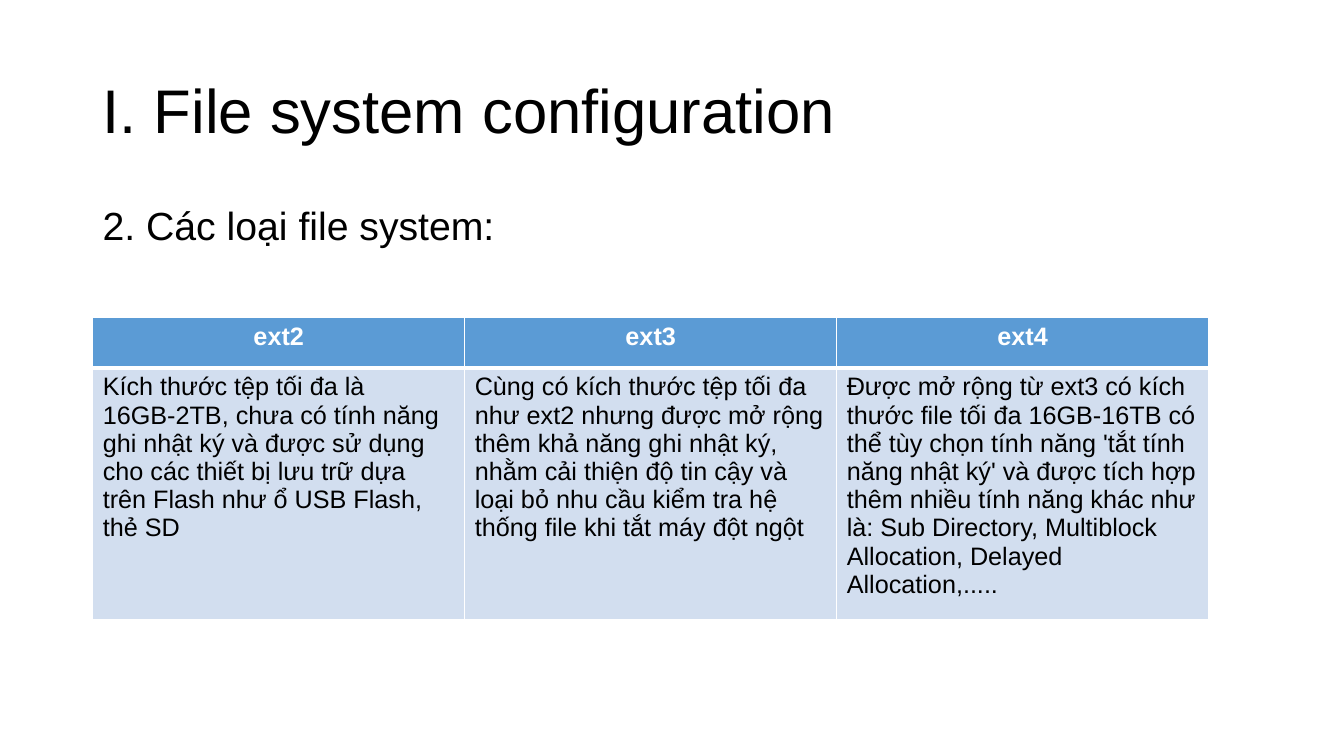
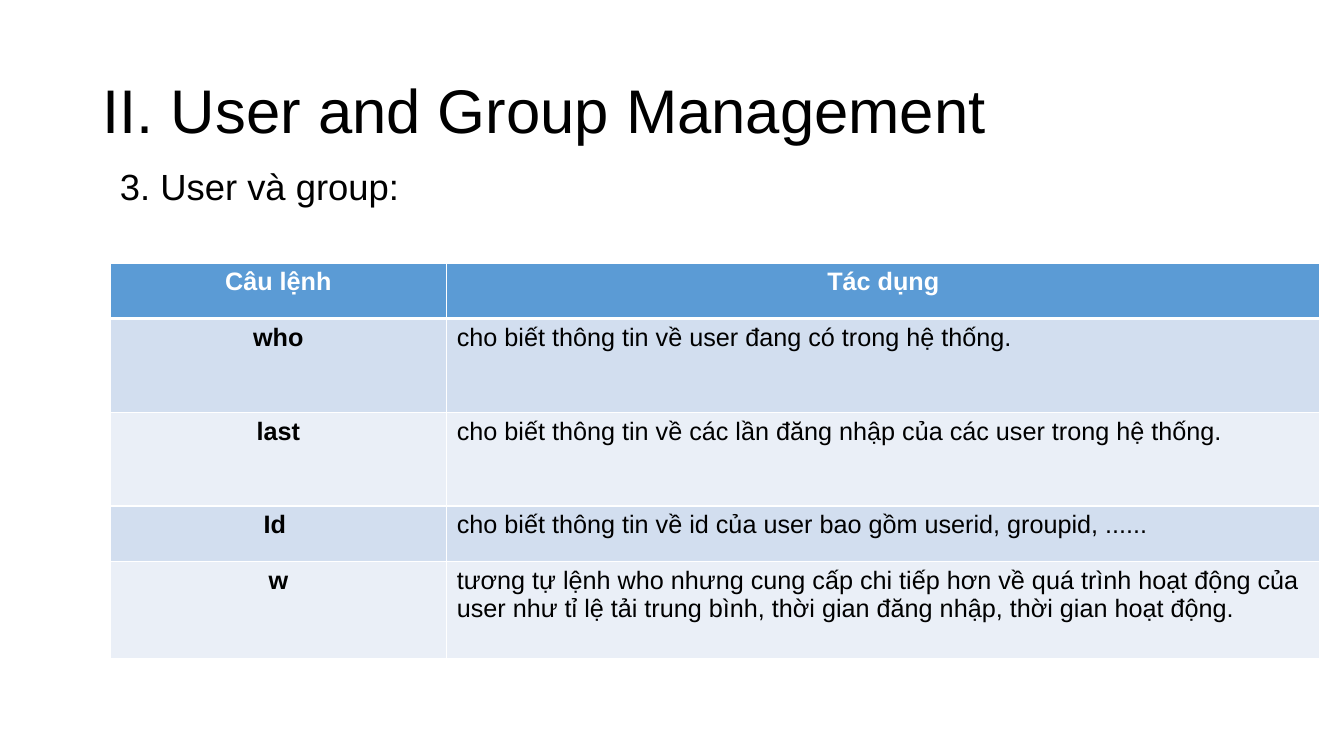
from lxml.etree import SubElement
from pptx import Presentation
from pptx.dml.color import RGBColor as RGB
from pptx.enum.text import MSO_ANCHOR as ANCHOR, PP_ALIGN as ALIGN
from pptx.oxml.ns import qn
from pptx.util import Inches, Pt

W, H = Inches(13.33), Inches(7.5)
COLORS = {
    "text": "000000",
    "white": "FFFFFF",
    "header": "5B9BD5",
    "odd": "D2DEEF",
    "even": "EAEFF7",
}
TITLE_BOX = (6.9, 5.33, 86.25, 19.33)
TITLE_FONT = {"size": Pt(44)}
TITLE_PAR = {"line_spacing": 0.9}
BODY_PAR = {"line_spacing": 0.9, "space_before": Pt(10)}
CELL_FONT = {"size": Pt(18)}

SLIDES = [
    {
        "title": "I. File system configuration",
        "body": "2. Các loại file system:",
        "body_box": (6.9, 26.67, 92.1, 52.4),
        "body_size": 28,
        "table_at": (6.9, 42),
        "cols": [27.68] * 3,
        "rows": [6.67, 31.07],
        "key_cols": 0,
        "cells": [
            ["ext2", "ext3", "ext4"],
            [
                "Kích thước tệp tối đa là 16GB-2TB, chưa có tính năng ghi nhật ký "
                "và được sử dụng cho các thiết bị lưu trữ dựa trên Flash như ổ USB "
                "Flash, thẻ SD",
                "Cùng có kích thước tệp tối đa như ext2 nhưng được mở rộng thêm khả "
                "năng ghi nhật ký, nhằm cải thiện độ tin cậy và loại bỏ nhu cầu kiểm "
                "tra hệ thống file khi tắt máy đột ngột",
                "Được mở rộng từ ext3 có kích thước file tối đa 16GB-16TB có thể tùy "
                "chọn tính năng 'tắt tính năng nhật ký' và được tích hợp thêm nhiều "
                "tính năng khác như là: Sub Directory, Multiblock Allocation, Delayed "
                "Allocation,.....",
            ],
        ],
    },
    {
        "title": "II. User and Group Management",
        "body": "3. User và group:",
        "body_box": (8.18, 21.73, 86.1, 78.27),
        "body_size": 26,
        "table_at": (8.18, 34.8),
        "cols": [25.06, 64.97],
        "rows": [7.33, 12.4, 12.4, 7.33, 12.8],
        "key_cols": 1,
        "cells": [
            ["Câu lệnh", "Tác dụng"],
            ["who", "cho biết thông tin về user đang có trong hệ thống."],
            ["last", "cho biết thông tin về các lần đăng nhập của các user trong hệ thống."],
            ["Id ", "cho biết thông tin về id của user bao gồm userid, groupid, ......"],
            [
                "w",
                "tương tự lệnh who nhưng cung cấp chi tiếp hơn về quá trình hoạt động "
                "của user như tỉ lệ tải trung bình, thời gian đăng nhập, thời gian hoạt động.",
            ],
        ],
    },
]


def across(percent):
    """Return a share of the slide's width."""
    return int(W * percent / 100)


def down(percent):
    """Return a share of the slide's height."""
    return int(H * percent / 100)


def apply(target, values):
    """Set each attribute named in a dict of format values."""
    for name, value in values.items():
        setattr(target, name, value)


def write(tf, text, font, par, color="text"):
    """Fill a text frame with one formatted paragraph."""
    p = tf.paragraphs[0]
    apply(p, par)
    r = p.add_run()
    r.text = text
    apply(r.font, {"name": "Arial", **font})
    r.font.color.rgb = RGB.from_string(COLORS[color])


def add_text(s, box, text, font, par, anchor=ANCHOR.TOP):
    """Add a wrapping text box placed by shares of the slide."""
    x, y, w, h = box
    sp = s.shapes.add_textbox(across(x), down(y), across(w), down(h))
    apply(sp.text_frame, {"word_wrap": True, "vertical_anchor": anchor})
    write(sp.text_frame, text, font, par)


def set_borders(cell, widths):
    """Draw white borders on a cell from a dict of side and width."""
    tc_pr = cell._tc.get_or_add_tcPr()
    for side, width in widths.items():
        ln = SubElement(tc_pr, qn(f"a:ln{side}"), w=str(Pt(width)))
        fill = SubElement(ln, qn("a:solidFill"))
        SubElement(fill, qn("a:srgbClr"), val=COLORS["white"])


def format_cell(cell, text, row, is_key):
    """Write one cell with the look of its row and column."""
    header = row == 0
    strong = header or is_key
    set_borders(cell, {"L": 1, "R": 1, "T": 3 if row == 1 else 1, "B": 3 if header else 1})
    cell.fill.solid()
    shade = "header" if header else "odd" if row % 2 else "even"
    cell.fill.fore_color.rgb = RGB.from_string(COLORS[shade])
    write(
        cell.text_frame,
        text,
        {**CELL_FONT, "bold": strong},
        {"alignment": ALIGN.CENTER if strong else ALIGN.LEFT},
        "white" if header else "text",
    )


def add_grid(s, at, cols, rows, cells, key_cols):
    """Add a banded table with a header row and optional key columns."""
    x, y = at
    table = s.shapes.add_table(
        len(rows), len(cols), across(x), down(y), across(sum(cols)), down(sum(rows))
    ).table
    for col, width in zip(table.columns, cols):
        col.width = across(width)
    for row, height in zip(table.rows, rows):
        row.height = down(height)
    for i, texts in enumerate(cells):
        for j, text in enumerate(texts):
            format_cell(table.cell(i, j), text, i, j < key_cols)


def add_page(prs, page):
    """Add one slide with its title, heading and table."""
    s = prs.slides.add_slide(prs.slide_layouts[6])
    add_text(s, TITLE_BOX, page["title"], TITLE_FONT, TITLE_PAR, ANCHOR.MIDDLE)
    add_text(s, page["body_box"], page["body"], {"size": Pt(page["body_size"])}, BODY_PAR)
    add_grid(s, page["table_at"], page["cols"], page["rows"], page["cells"], page["key_cols"])


def main():
    """Build the slides and save the presentation."""
    prs = Presentation()
    apply(prs, {"slide_width": W, "slide_height": H})
    for page in SLIDES:
        add_page(prs, page)
    prs.save("out.pptx")


if __name__ == "__main__":
    main()
